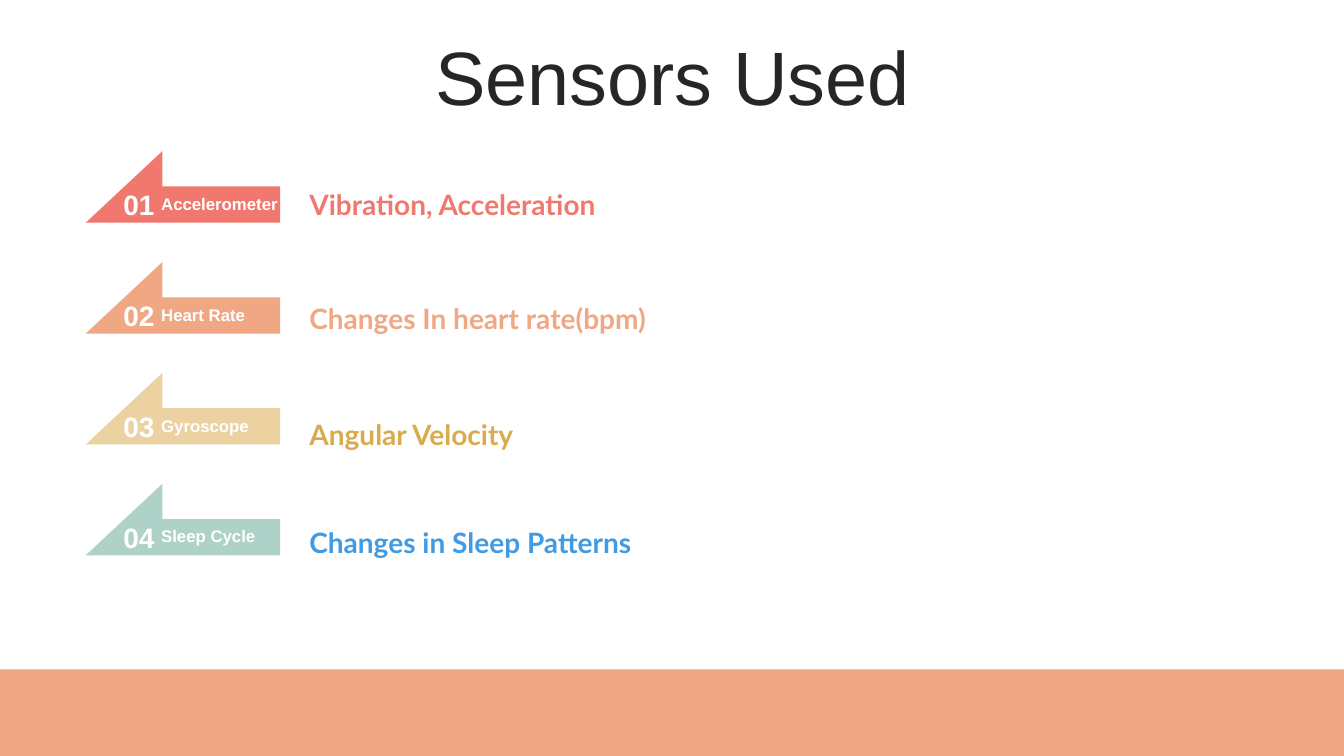
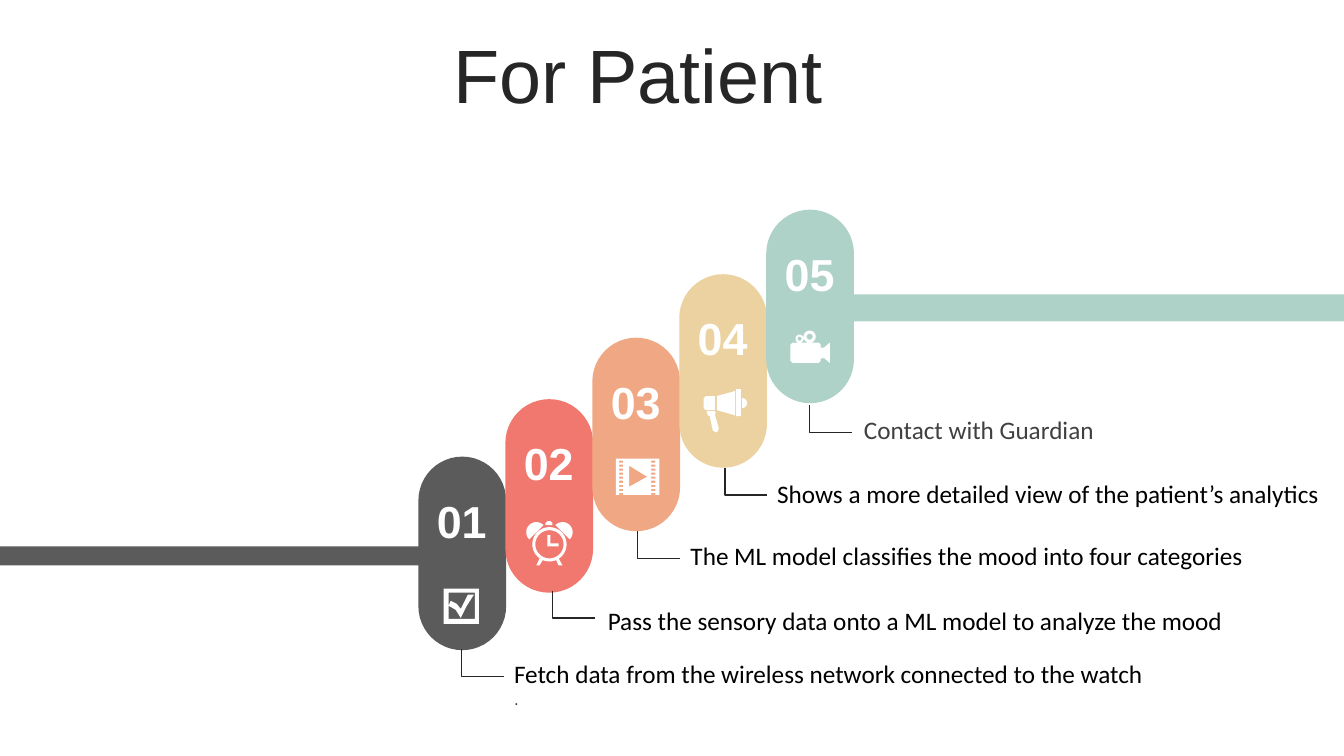
import math

import pptx
import pptx.dml.color
import pptx.enum.shapes
import pptx.enum.text
import pptx.util

Inches = pptx.util.Inches
Pt = pptx.util.Pt
RGBColor = pptx.dml.color.RGBColor
Align = pptx.enum.text.PP_ALIGN
Anchor = pptx.enum.text.MSO_ANCHOR
AutoSize = pptx.enum.text.MSO_AUTO_SIZE
Preset = pptx.enum.shapes.MSO_SHAPE

WHITE = RGBColor(0xFF, 0xFF, 0xFF)
BLACK = RGBColor(0x00, 0x00, 0x00)
INK = RGBColor(0x26, 0x26, 0x26)
DARK_GRAY = RGBColor(0x40, 0x40, 0x40)
GRAY = RGBColor(0x5B, 0x5B, 0x5B)
CORAL = RGBColor(0xF0, 0x78, 0x6E)
PEACH = RGBColor(0xF0, 0xA8, 0x84)
SAND = RGBColor(0xEB, 0xD2, 0xA0)
MINT = RGBColor(0xAF, 0xD2, 0xC8)
GOLD = RGBColor(0xDA, 0xAB, 0x4E)
BLUE = RGBColor(0x41, 0x9B, 0xE4)

SLIDE_WIDTH = 13.33
SLIDE_HEIGHT = 7.5
TITLE_ONLY_LAYOUT = 5

SENSORS = [
    ("Accelerometer", CORAL, "Vibration, Acceleration", CORAL, 1.81),
    ("Heart Rate", PEACH, "Changes In heart rate(bpm)", PEACH, 2.94),
    ("Gyroscope", SAND, "Angular Velocity", GOLD, 4.09),
    ("Sleep Cycle", MINT, "Changes in Sleep Patterns", BLUE, 5.16),
]

STEPS = [
    (4.53, GRAY, (4.58, 6.44), (5, 6.48), BLACK,
     "Fetch data from the wireless network connected to the watch"),
    (3.96, CORAL, (5.48, 5.86), (5.93, 5.91), BLACK,
     "Pass the sensory data onto a ML model to analyze the mood"),
    (3.35, PEACH, (6.32, 5.27), (6.75, 5.31), BLACK,
     "The ML model classifies the mood into four categories"),
    (2.72, SAND, (7.19, 4.64), (7.61, 4.7), BLACK,
     "Shows a more detailed view of the patient’s analytics"),
    (2.08, MINT, (8.03, 4.02), (8.47, 4.06), DARK_GRAY,
     "Contact with Guardian"),
]


def add_run(paragraph, text, size, color, font="Arial", bold=False):
    run = paragraph.add_run()
    run.text = text
    run.font.size = Pt(size)
    run.font.name = font
    run.font.bold = bold
    run.font.color.rgb = color


def add_slide(presentation, title, left, top):
    slide = presentation.slides.add_slide(presentation.slide_layouts[TITLE_ONLY_LAYOUT])
    shape = slide.shapes.title
    shape.left, shape.top = Inches(left), Inches(top)
    shape.width, shape.height = Inches(12.66), Inches(0.79)
    frame = shape.text_frame
    frame.auto_size = AutoSize.NONE
    frame.vertical_anchor = Anchor.MIDDLE
    paragraph = frame.paragraphs[0]
    paragraph.alignment = Align.CENTER
    paragraph.line_spacing = 0.9
    paragraph.space_before = Pt(10)
    add_run(paragraph, title, 54, INK)
    return slide


def add_text(shapes, box, text, size, color, font="Arial", bold=False,
             align=Align.LEFT, anchor=Anchor.TOP):
    frame = shapes.add_textbox(*map(Inches, box)).text_frame
    frame.word_wrap = True
    frame.auto_size = AutoSize.SHAPE_TO_FIT_TEXT
    frame.vertical_anchor = anchor
    paragraph = frame.paragraphs[0]
    paragraph.alignment = align
    add_run(paragraph, text, size, color, font, bold)
    return frame


def add_block(shapes, preset, box, color):
    shape = shapes.add_shape(preset, *map(Inches, box))
    paint(shape, color)
    return shape


def paint(shape, color):
    shape.shadow.inherit = False
    shape.fill.solid()
    shape.fill.fore_color.rgb = color
    shape.line.fill.background()


def build_outline(shapes, contours, close=True):
    contours = [[(Inches(x), Inches(y)) for x, y in points] for points in contours]
    builder = shapes.build_freeform(*contours[0][0], scale=1.0)
    for index, points in enumerate(contours):
        if index:
            builder.move_to(*points[0])
        builder.add_line_segments(points[1:], close=close)
    return builder.convert_to_shape()


def add_polygon(shapes, contours, color):
    paint(build_outline(shapes, contours), color)


def add_elbow(shapes, left, top):
    corner = [(left, top), (left, top + 0.27), (left + 0.42, top + 0.27)]
    shape = build_outline(shapes, [corner], close=False)
    shape.shadow.inherit = False
    shape.fill.background()
    shape.line.color.rgb = INK
    shape.line.width = Pt(1)


def rectangle(left, top, width, height):
    right, bottom = left + width, top + height
    return [(left, top), (right, top), (right, bottom), (left, bottom)]


def arc(x, y, radius, start=0, end=360, steps=36):
    angles = [math.radians(start + (end - start) * i / steps) for i in range(steps + 1)]
    return [(x + radius * math.cos(a), y + radius * math.sin(a)) for a in angles]


def checkbox_icon():
    tick = [(4.45, 6.01), (4.47, 5.96), (4.53, 5.99), (4.57, 6.04), (4.64, 5.9),
            (4.7, 5.9), (4.63, 6.01), (4.57, 6.13), (4.52, 6.05)]
    return [rectangle(4.4, 5.84, 0.35, 0.35), rectangle(4.45, 5.88, 0.26, 0.26), tick]


def clock_icon():
    x, y = 5.45, 5.4
    right_leg = [(5.58, 5.61), (5.54, 5.61)]
    left_leg = [(5.35, 5.61), (5.32, 5.61)]
    body = arc(x, y, 0.17, 125, 417) + right_leg + arc(x, y, 0.17, 67, 113) + left_leg
    hands = [(5.43, 5.31), (5.46, 5.31), (5.46, 5.39), (5.54, 5.39),
             (5.54, 5.42), (5.43, 5.42)]
    knob = [(5.41, 5.21), (5.41, 5.19), (5.43, 5.17), (5.46, 5.17),
            (5.48, 5.19), (5.48, 5.21)]
    bells = [arc(5.32, 5.28, 0.1, 135, 315), arc(5.58, 5.28, 0.1, 225, 405)]
    return [body, arc(x, y, 0.14), hands, knob] + bells


def film_icon():
    holes = [rectangle(left, 4.57 + 0.04 * row, 0.04, 0.02)
             for left in (6.14, 6.46) for row in range(9)]
    play = [(6.24, 4.62), (6.24, 4.83), (6.42, 4.73)]
    return [rectangle(6.11, 4.55, 0.43, 0.36), play] + holes


def megaphone_icon():
    handle = [(7.01, 4.08), (7.09, 4.08), (7.1, 4.1), (7.09, 4.11), (7.13, 4.25),
              (7.12, 4.28), (7.1, 4.29), (7.07, 4.27), (7.04, 4.13), (7.02, 4.12)]
    back = [(7, 3.93), (7.09, 3.93), (7.09, 4.07), (7, 4.07), (6.98, 4.05), (6.98, 3.95)]
    horn = [(7.29, 3.88), (7.29, 4.12), (7.11, 4.07), (7.11, 3.93)]
    return [handle, back, horn, rectangle(7.3, 3.86, 0.05, 0.27),
            arc(7.36, 4, 0.05, -90, 90)]


def camera_icon():
    body = [(7.86, 3.4), (8.12, 3.4), (8.14, 3.42), (8.14, 3.45), (8.17, 3.45),
            (8.23, 3.4), (8.23, 3.6), (8.17, 3.55), (8.14, 3.56), (8.14, 3.58),
            (8.12, 3.6), (7.86, 3.6), (7.84, 3.58), (7.84, 3.42)]
    return [body, arc(8.03, 3.34, 0.06), arc(8.03, 3.34, 0.03),
            arc(7.93, 3.36, 0.04), arc(7.93, 3.36, 0.02)]


def add_sensor_tag(slide, number, name, color, top):
    shapes = slide.shapes.add_group_shape().shapes
    flag = [(1.61, top), (1.61, top + 0.35), (2.78, top + 0.35),
            (2.78, top + 0.71), (0.85, top + 0.71)]
    add_polygon(shapes, [flag], color)
    add_text(shapes, (1.05, top + 0.31, 0.58, 0.44), f"{number:02}", 20, WHITE,
             bold=True, align=Align.RIGHT, anchor=Anchor.MIDDLE)
    add_text(shapes, (1.5, top + 0.37, 1.38, 0.3), name, 12, WHITE,
             bold=True, anchor=Anchor.MIDDLE)


def build_sensors_slide(presentation):
    slide = add_slide(presentation, "Sensors Used", 0.34, 0.41)
    add_block(slide.shapes, Preset.RECTANGLE,
              (0, 6.64, SLIDE_WIDTH, SLIDE_HEIGHT - 6.64), PEACH)
    for index, (name, color, detail, detail_color, detail_top) in enumerate(SENSORS):
        add_sensor_tag(slide, index + 1, name, color, 1.5 + 1.1 * index)
        add_text(slide.shapes, (2.97, detail_top, 5.33, 0.44), detail, 20,
                 detail_color, "Lato", bold=True)


def build_patient_slide(presentation):
    slide = add_slide(presentation, "For Patient", 0, 0.39)
    shapes = slide.shapes
    add_block(shapes, Preset.RECTANGLE, (0, 5.42, 4.16, 0.19), GRAY)
    add_block(shapes, Preset.RECTANGLE, (8.45, 2.92, SLIDE_WIDTH - 8.45, 0.27), MINT)
    icons = [checkbox_icon(), clock_icon(), film_icon(), megaphone_icon(), camera_icon()]
    captions = []
    for index, (top, color, elbow, place, text_color, text) in enumerate(STEPS):
        left = 4.15 + 0.8625 * index
        pill = add_block(shapes, Preset.ROUNDED_RECTANGLE, (left, top, 0.87, 1.92), color)
        pill.adjustments[0] = 0.5
        add_text(shapes, (left, top + 0.31, 0.86, 0.64), f"{index + 1:02}", 32, WHITE,
                 bold=True, align=Align.CENTER, anchor=Anchor.MIDDLE)
        add_polygon(shapes, icons[index], WHITE)
        add_elbow(shapes, *elbow)
        captions.append(add_text(shapes, (*place, SLIDE_WIDTH - place[0], 0.4), text,
                                 18, text_color, "Calibri"))
    captions[1].paragraphs[0].line_spacing = 1.15
    add_run(captions[0].add_paragraph(), ".", 12, DARK_GRAY)


def main():
    presentation = pptx.Presentation()
    presentation.slide_width = Inches(SLIDE_WIDTH)
    presentation.slide_height = Inches(SLIDE_HEIGHT)
    build_sensors_slide(presentation)
    build_patient_slide(presentation)
    presentation.save("out.pptx")


if __name__ == "__main__":
    main()
